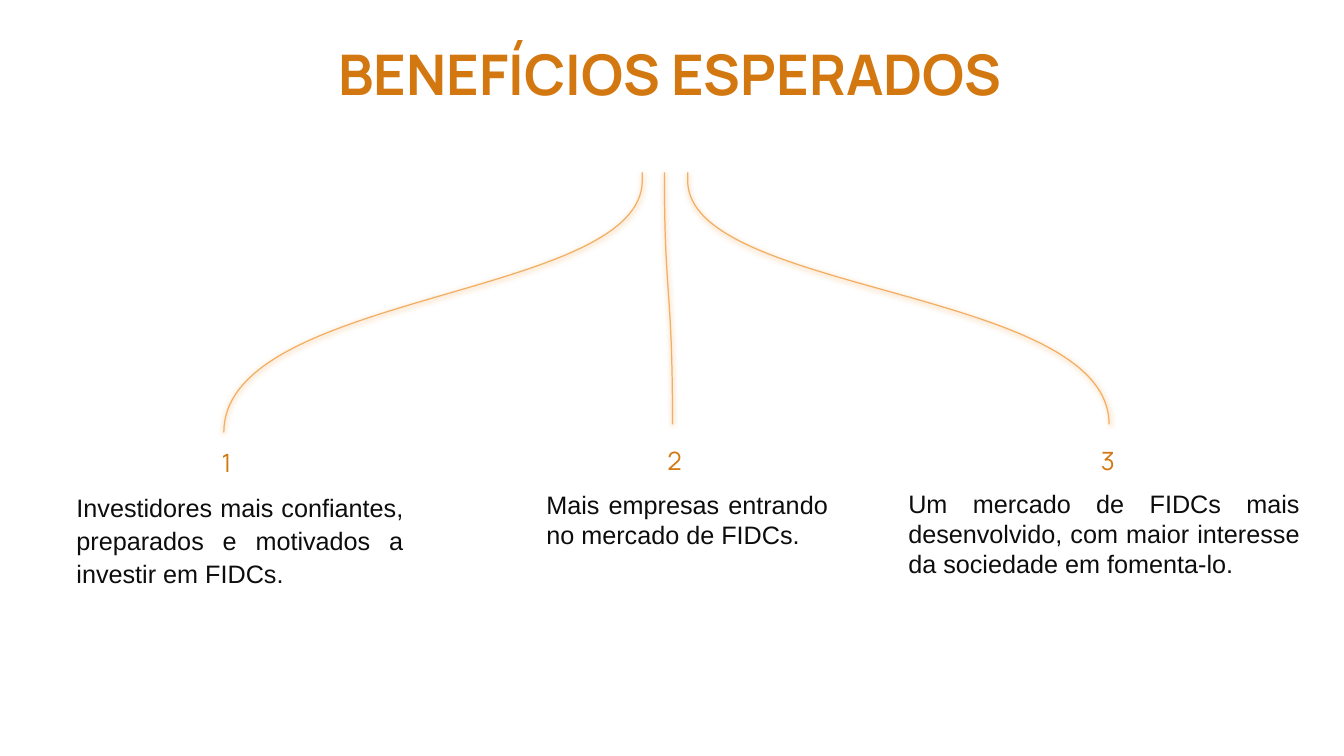
from dataclasses import dataclass

from lxml import etree
from pptx import Presentation
from pptx.dml.color import RGBColor
from pptx.enum.text import MSO_ANCHOR, MSO_AUTO_SIZE, PP_ALIGN
from pptx.oxml.ns import qn
from pptx.slide import Slide
from pptx.text.text import TextFrame
from pptx.util import Inches, Pt

LEFT, CENTER, JUSTIFY = PP_ALIGN.LEFT, PP_ALIGN.CENTER, PP_ALIGN.JUSTIFY
TOP = MSO_ANCHOR.TOP
FIT_SHAPE = MSO_AUTO_SIZE.SHAPE_TO_FIT_TEXT

ORANGE = RGBColor(0xD3, 0x78, 0x11)
LIGHT_ORANGE = RGBColor(0xF2, 0xAE, 0x62)
NEAR_BLACK = RGBColor(0x0D, 0x0D, 0x0D)
HEADING_FONT, BODY_FONT = "Manrope", "Arial"

BRANCH_TOP = 1.71
BRANCH_STEM = 0.08


@dataclass(frozen=True)
class Box:
    left: float
    top: float
    width: float
    height: float


@dataclass(frozen=True)
class Benefit:
    number: str
    number_box: Box
    text: str
    text_box: Box
    line_spacing: float
    branch_start: float
    branch_end: float
    branch_bottom: float


BENEFITS = (
    Benefit("1", Box(2.1, 4.39, 0.28, 0.4),
            "Investidores mais confiantes, preparados e motivados a investir em FIDCs.",
            Box(0.66, 4.8, 3.44, 1.08), 1.1, 6.37, 2.22, 4.29),
    Benefit("2", Box(6.52, 4.37, 0.28, 0.4),
            "Mais empresas entrando no mercado de FIDCs.",
            Box(5.32, 4.8, 2.99, 0.71), 1.0, 6.59, 6.67, 4.21),
    Benefit("3", Box(10.82, 4.37, 0.35, 0.4),
            "Um mercado de FIDCs mais desenvolvido, com maior interesse da sociedade em fomenta-lo.",
            Box(8.91, 4.79, 4.08, 1.01), 1.0, 6.82, 11.0, 4.21),
)


def write_text(frame: TextFrame, text: str, font: str, size: float, color: RGBColor,
               alignment: PP_ALIGN, line_spacing: float = 1.0, bold: bool = False) -> None:
    frame.word_wrap = True
    frame.auto_size = FIT_SHAPE
    frame.vertical_anchor = TOP
    frame.text = text
    paragraph = frame.paragraphs[0]
    paragraph.alignment = alignment
    paragraph.line_spacing = line_spacing
    paragraph.font.name = font
    paragraph.font.size = Pt(size)
    paragraph.font.bold = bold
    paragraph.font.color.rgb = color


def add_text_box(slide: Slide, box: Box) -> TextFrame:
    shape = slide.shapes.add_textbox(Inches(box.left), Inches(box.top),
                                     Inches(box.width), Inches(box.height))
    return shape.text_frame


def add_branch(slide: Slide, start: float, end: float, bottom: float) -> None:
    """Draw an S-curve from the label up to the stem, with a soft shadow."""
    stem_bottom = BRANCH_TOP + BRANCH_STEM
    rise = bottom - stem_bottom
    controls = [
        (end, bottom - 0.56 * rise), (start, bottom - 0.53 * rise), (start, stem_bottom),
        (start, BRANCH_TOP), (start, BRANCH_TOP), (start, BRANCH_TOP),
    ]
    builder = slide.shapes.build_freeform(Inches(end), Inches(bottom))
    builder.add_line_segments([(Inches(x), Inches(y)) for x, y in controls], close=False)
    shape = builder.convert_to_shape()
    shape.fill.background()
    shape.line.color.rgb = LIGHT_ORANGE
    shape.line.width = Pt(0.88)
    shape.shadow.inherit = False

    # Every three straight segments become one cubic curve
    outline = next(shape.element.iter(qn("a:path")))
    segments = outline.findall(qn("a:lnTo"))
    for first in range(0, len(segments), 3):
        curve = etree.SubElement(outline, qn("a:cubicBezTo"))
        for segment in segments[first:first + 3]:
            curve.append(segment[0])
            outline.remove(segment)

    effects = next(shape.element.iter(qn("a:effectLst")))
    shadow = etree.SubElement(effects, qn("a:outerShdw"), blurRad=str(Pt(4)),
                              dist=str(Pt(1)), dir="5400000", rotWithShape="0")
    etree.SubElement(shadow, qn("a:srgbClr"), val=str(LIGHT_ORANGE))


def add_benefit(slide: Slide, benefit: Benefit) -> None:
    add_branch(slide, benefit.branch_start, benefit.branch_end, benefit.branch_bottom)
    write_text(add_text_box(slide, benefit.number_box), benefit.number,
               HEADING_FONT, 18, ORANGE, LEFT)
    write_text(add_text_box(slide, benefit.text_box), benefit.text,
               BODY_FONT, 18, NEAR_BLACK, JUSTIFY, benefit.line_spacing)


def add_title(slide: Slide) -> None:
    title = slide.shapes.title
    title.left, title.top = Inches(-0.02), Inches(0.34)
    title.width, title.height = Inches(13.33), Inches(0.77)
    write_text(title.text_frame, "BENEFÍCIOS ESPERADOS",
               HEADING_FONT, 40, ORANGE, CENTER, bold=True)


def main() -> None:
    presentation = Presentation()
    presentation.slide_width = Inches(13.33)
    presentation.slide_height = Inches(7.5)
    slide = presentation.slides.add_slide(presentation.slide_layouts[5])
    add_title(slide)
    for benefit in BENEFITS:
        add_benefit(slide, benefit)
    presentation.save("out.pptx")


if __name__ == "__main__":
    main()
